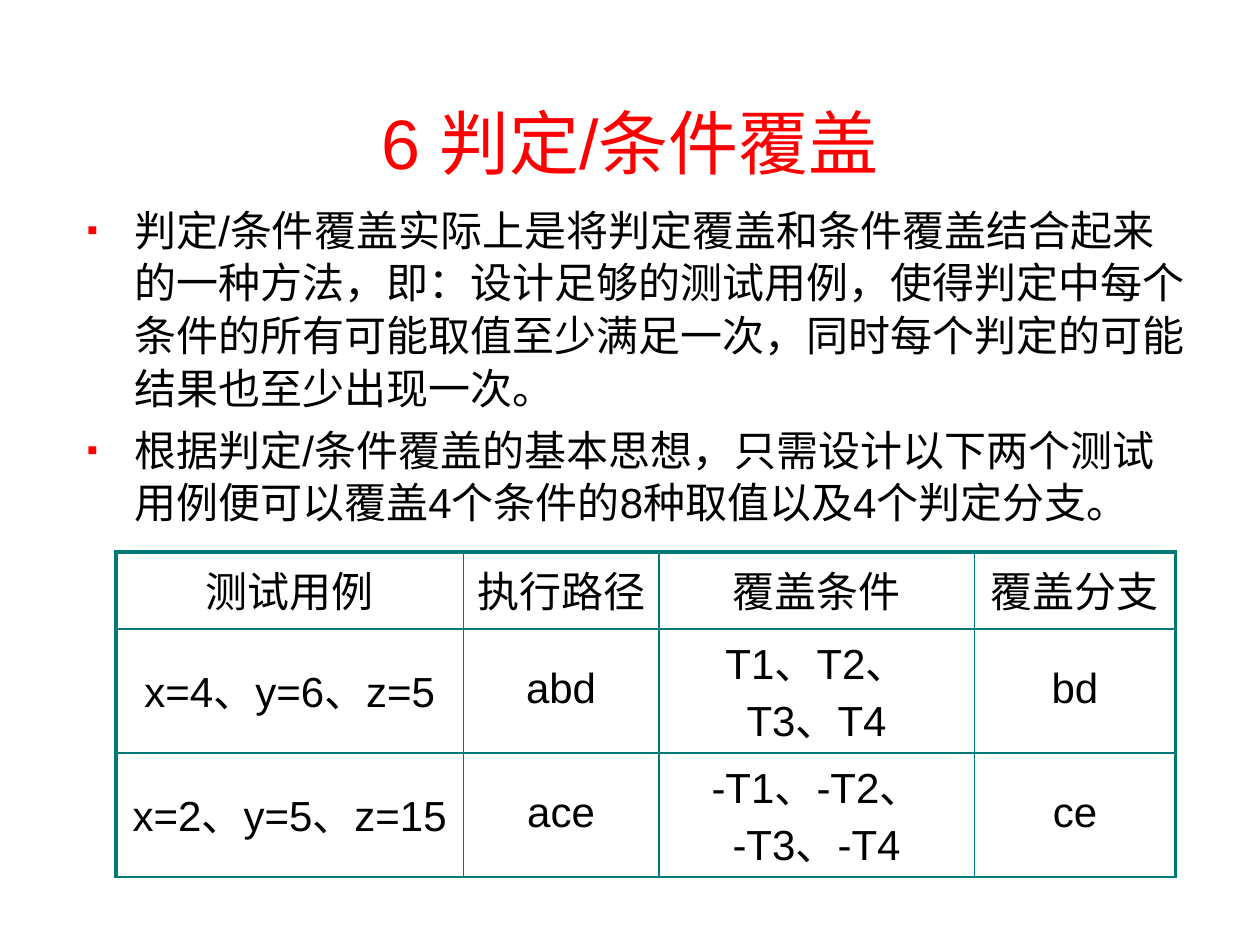
from lxml.etree import SubElement
from pptx import Presentation
from pptx.dml.color import RGBColor
from pptx.enum.lang import MSO_LANGUAGE_ID
from pptx.enum.text import MSO_ANCHOR, PP_ALIGN
from pptx.oxml.ns import qn
from pptx.util import Cm, Pt

RED = RGBColor(0xFF, 0x00, 0x00)
BLACK = RGBColor(0x00, 0x00, 0x00)
TEAL = RGBColor(0x00, 0x7A, 0x77)

TITLE = "6 判定/条件覆盖"
POINTS = [
    "判定/条件覆盖实际上是将判定覆盖和条件覆盖结合起来的一种方法，即：设计足够的测试用例，"
    "使得判定中每个条件的所有可能取值至少满足一次，同时每个判定的可能结果也至少出现一次。",
    "根据判定/条件覆盖的基本思想，只需设计以下两个测试用例便可以覆盖4个条件的8种取值以及4个判定分支。",
]
CASES = [
    ["测试用例", "执行路径", "覆盖条件", "覆盖分支"],
    ["x=4、y=6、z=5", "abd", "T1、T2、\nT3、T4", "bd"],
    ["x=2、y=5、z=15", "ace", "-T1、-T2、\n-T3、-T4", "ce"],
]
COLUMN_WIDTHS = [7, 3.94, 6.36, 4.06]
ROW_HEIGHTS = [1.55, 2.5, 2.5]


def write(frame, lines, size=24, color=BLACK, align=PP_ALIGN.LEFT, spacing=1.0, before=0):
    """Fill a text frame with one formatted paragraph per line."""
    frame.word_wrap = True
    for index, line in enumerate(lines):
        paragraph = frame.add_paragraph() if index else frame.paragraphs[0]
        paragraph.alignment = align
        paragraph.line_spacing = spacing
        paragraph.space_before = Pt(before)
        run = paragraph.add_run()
        run.text = line
        run.font.name = "Arial"
        run.font.size = Pt(size)
        run.font.color.rgb = color
        run.font.language_id = MSO_LANGUAGE_ID.SIMPLIFIED_CHINESE


def add_text(slide, lines, left, top, width, height, anchor=MSO_ANCHOR.TOP, **style):
    """Add a text box measured in centimetres and return its frame."""
    frame = slide.shapes.add_textbox(Cm(left), Cm(top), Cm(width), Cm(height)).text_frame
    frame.vertical_anchor = anchor
    write(frame, lines, **style)
    return frame


def add_bullets(frame, indent):
    """Give every paragraph a small red square with a hanging indent."""
    for paragraph in frame.paragraphs:
        properties = paragraph._p.get_or_add_pPr()
        properties.set("marL", str(Cm(indent)))
        properties.set("indent", str(-Cm(indent)))
        bullet_color = SubElement(properties, qn("a:buClr"))
        SubElement(bullet_color, qn("a:srgbClr"), val=str(RED))
        SubElement(properties, qn("a:buSzPct"), val="75000")
        SubElement(properties, qn("a:buFont"), typeface="Arial")
        SubElement(properties, qn("a:buChar"), char="▪")


def add_borders(cell, **widths):
    """Draw the cell edges named by tag with widths in points."""
    properties = cell._tc.get_or_add_tcPr()
    for edge, width in widths.items():
        line = SubElement(properties, qn(f"a:{edge}"), w=str(Pt(width)))
        fill = SubElement(line, qn("a:solidFill"))
        SubElement(fill, qn("a:srgbClr"), val=str(TEAL))


def add_case_table(slide, left, top):
    """Add the table of test cases with a heavier outer frame."""
    table = slide.shapes.add_table(
        len(CASES), len(COLUMN_WIDTHS), Cm(left), Cm(top),
        Cm(sum(COLUMN_WIDTHS)), Cm(sum(ROW_HEIGHTS))).table
    table.first_row = table.horz_banding = False
    for column, width in zip(table.columns, COLUMN_WIDTHS):
        column.width = Cm(width)
    for row, height in zip(table.rows, ROW_HEIGHTS):
        row.height = Cm(height)
    last_column = len(COLUMN_WIDTHS) - 1
    for row_index, case in enumerate(CASES):
        for column_index, entry in enumerate(case):
            cell = table.cell(row_index, column_index)
            cell.vertical_anchor = MSO_ANCHOR.MIDDLE
            write(cell.text_frame, entry.split("\n"), align=PP_ALIGN.CENTER,
                  spacing=0.9, before=1.2 if row_index else 4.8)
            add_borders(cell, lnL=1 if column_index else 2.25,
                        lnR=2.25 if column_index == last_column else 1,
                        lnT=1 if row_index else 2.25, lnB=1)
            cell.fill.background()


def main():
    """Build the slide on decision/condition coverage."""
    deck = Presentation()
    deck.slide_width, deck.slide_height = Cm(25.4), Cm(19.05)
    slide = deck.slides.add_slide(deck.slide_layouts[6])
    add_text(slide, [TITLE], 0.84, 1.9, 23.72, 1.9, anchor=MSO_ANCHOR.MIDDLE,
             size=40, color=RED, align=PP_ALIGN.CENTER)
    points = add_text(slide, POINTS, 1.5, 3.94, 22.8, 8.3, spacing=1.05, before=4.8)
    add_bullets(points, 0.96)
    add_case_table(slide, 2.34, 11.13)
    deck.save("out.pptx")


main()
